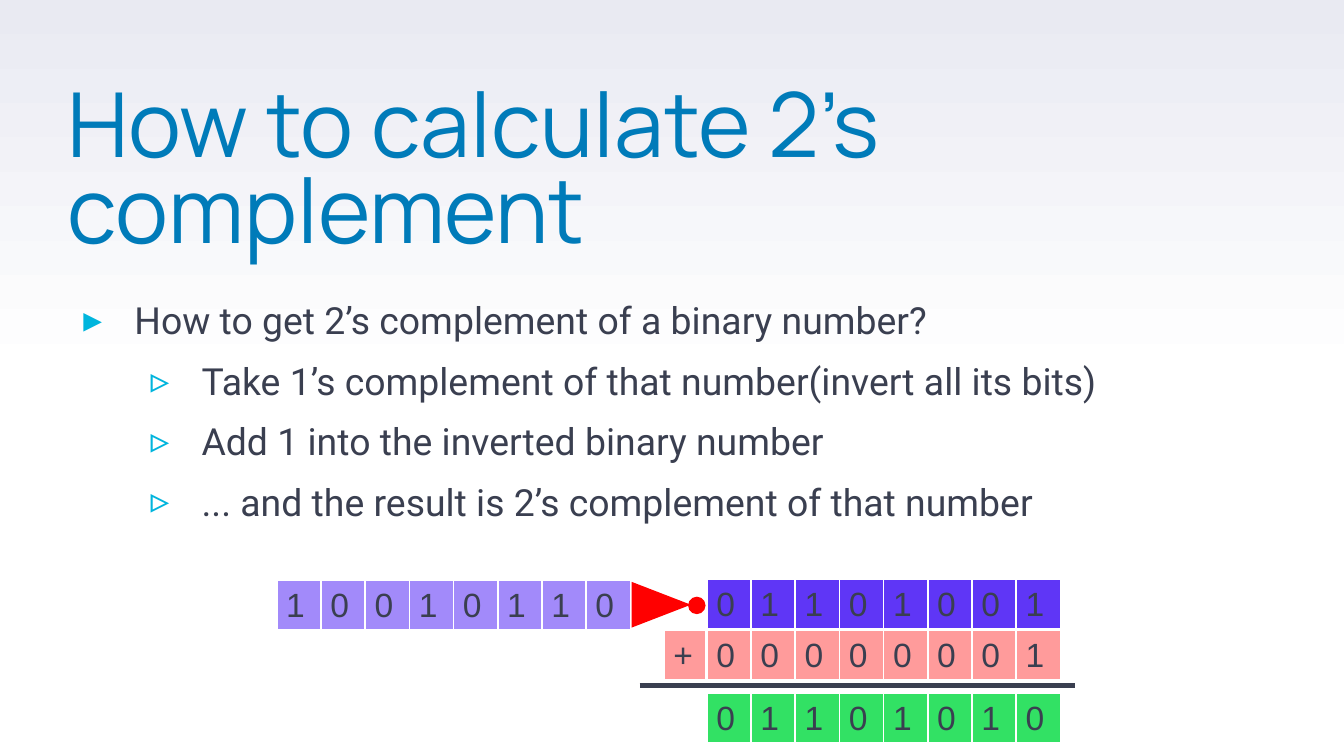
import copy
from dataclasses import dataclass

import pptx
import pptx.dml.color
import pptx.enum.shapes
import pptx.enum.text
import pptx.oxml
import pptx.oxml.ns
import pptx.util
from pptx.util import Inches

RGBColor = pptx.dml.color.RGBColor
Shape = pptx.enum.shapes.MSO_SHAPE

WHITE = RGBColor(0xFF, 0xFF, 0xFF)
MIST = RGBColor(0xE9, 0xEA, 0xF2)
BLUE = RGBColor(0x00, 0x7B, 0xB9)
CYAN = RGBColor(0x00, 0xB5, 0xDD)
INK = RGBColor(0x3A, 0x3F, 0x50)
LILAC = RGBColor(0xA2, 0x8A, 0xFA)
VIOLET = RGBColor(0x5F, 0x36, 0xF6)
PINK = RGBColor(0xFF, 0x9B, 0x9B)
GREEN = RGBColor(0x32, 0xE1, 0x64)
RED = RGBColor(0xFF, 0x00, 0x00)

SLIDE_W = 10
SLIDE_H = SLIDE_W * 9 / 16
BIT_W = 2.63 / 8
ROW_H = 0.38
SUM_X = 5.26
BORDERS = {"a:lnL": 1, "a:lnR": 1, "a:lnT": 1, "a:lnB": 3}
FRAME = {"margin_left": 0, "margin_top": 0, "margin_right": 0, "margin_bottom": 0,
         "word_wrap": True, "vertical_anchor": pptx.enum.text.MSO_ANCHOR.TOP,
         "auto_size": pptx.enum.text.MSO_AUTO_SIZE.NONE}
CELL = {"margin_left": Inches(0.07), "margin_right": Inches(0.07),
        "margin_top": Inches(0.04), "margin_bottom": Inches(0.04),
        "vertical_anchor": pptx.enum.text.MSO_ANCHOR.MIDDLE}


@dataclass
class Bullet:
    text: str
    level: int = 1
    mark: str = "▹"


@dataclass
class BitRow:
    bits: str
    x: float
    y: float
    color: RGBColor
    cell_w: float = BIT_W


@dataclass
class Marker:
    kind: Shape
    x: float
    y: float
    w: float
    h: float
    rotation: float = 0


BULLETS = [
    Bullet("How to get 2’s complement of a binary number?", 0, "▸"),
    Bullet("Take 1’s complement of that number(invert all its bits)"),
    Bullet("Add 1 into the inverted binary number"),
    Bullet("... and the result is 2’s complement of that number"),
]
BIT_ROWS = [
    BitRow("10010110", 2.06, 4.32, LILAC),
    BitRow("01101001", SUM_X, 4.31, VIOLET),
    BitRow("+", 4.94, 4.69, PINK, 0.31),
    BitRow("01101010", SUM_X, 5.16, GREEN),
    BitRow("00000001", SUM_X, 4.69, PINK),
]
MARKERS = [
    Marker(Shape.ISOSCELES_TRIANGLE, 4.75, 4.28, 0.34, 0.44, 90),
    Marker(Shape.OVAL, 5.12, 4.44, 0.13, 0.13),
]


def apply(target, values: dict) -> None:
    for name, value in values.items():
        setattr(target, name, value)


def add_run(p, text: str, font: str, size: float, color: RGBColor) -> None:
    r = p.add_run()
    r.text = text
    apply(r.font, {"name": font, "size": pptx.util.Pt(size)})
    r.font.color.rgb = color


def xml(body: str):
    tag, rest = body.split(" ", 1)
    return pptx.oxml.parse_xml(f"<{tag} {pptx.oxml.ns.nsdecls('a')} {rest}")


def set_background(s) -> None:
    fill = s.background.fill
    fill.gradient()
    fill.gradient_angle = 90
    first = s.element.xpath(".//p:bg//a:gs")[0]
    first.addnext(copy.deepcopy(first))
    stops = [(0, WHITE), (0.5, WHITE), (1, MIST)]
    for stop, (position, color) in zip(fill.gradient_stops, stops):
        stop.position = position
        stop.color.rgb = color


def set_title(s, text: str) -> None:
    sp = s.shapes.title
    apply(sp, {"left": Inches(0.5), "top": Inches(0.66),
               "width": Inches(9.32), "height": Inches(1.18)})
    apply(sp.text_frame, FRAME)
    p = sp.text_frame.paragraphs[0]
    apply(p, {"line_spacing": 0.8, "alignment": pptx.enum.text.PP_ALIGN.LEFT})
    add_run(p, text, "Manrope", 48, BLUE)


def add_bullets(s, bullets: list[Bullet]) -> None:
    sp = s.shapes.add_textbox(Inches(0.5), Inches(2.18), Inches(9.32), Inches(2.93))
    tf = sp.text_frame
    apply(tf, FRAME)
    for i, bullet in enumerate(bullets):
        p = tf.add_paragraph() if i else tf.paragraphs[0]
        apply(p, {"level": bullet.level, "line_spacing": 1.1,
                  "space_before": pptx.util.Pt(6)})
        pPr = p._p.get_or_add_pPr()
        pPr.set("marL", str(Inches(0.5 * (bullet.level + 1))))
        pPr.set("indent", str(Inches(-0.38)))
        pPr.append(xml(f'a:buClr ><a:srgbClr val="{CYAN}"/></a:buClr>'))
        pPr.append(xml('a:buFont typeface="Roboto"/>'))
        pPr.append(xml(f'a:buChar char="{bullet.mark}"/>'))
        add_run(p, bullet.text, "Roboto", 20, INK)


def add_bit_row(s, row: BitRow) -> None:
    n = len(row.bits)
    table = s.shapes.add_table(1, n, Inches(row.x), Inches(row.y),
                               Inches(row.cell_w * n), Inches(ROW_H)).table
    apply(table, {"first_row": False, "horz_banding": False})
    for column, cell, bit in zip(table.columns, table.rows[0].cells, row.bits):
        column.width = Inches(row.cell_w)
        apply(cell, CELL)
        add_run(cell.text_frame.paragraphs[0], bit, "Arial", 18, INK)
        tcPr = cell._tc.get_or_add_tcPr()
        for tag, width in BORDERS.items():
            tcPr.append(xml(f'{tag} w="{pptx.util.Pt(width)}"><a:solidFill>'
                            f'<a:srgbClr val="{WHITE}"/></a:solidFill></{tag}>'))
        cell.fill.solid()
        cell.fill.fore_color.rgb = row.color


def add_sum_line(s) -> None:
    line = s.shapes.add_connector(pptx.enum.shapes.MSO_CONNECTOR.STRAIGHT,
                                  Inches(4.76), Inches(5.1), Inches(8), Inches(5.1))
    line.line.color.rgb = INK
    line.line.width = pptx.util.Pt(3)
    line._element.spPr.append(xml("a:effectLst />"))


def add_marker(s, marker: Marker):
    sp = s.shapes.add_shape(marker.kind, Inches(marker.x), Inches(marker.y),
                            Inches(marker.w), Inches(marker.h))
    sp.rotation = marker.rotation
    sp.shadow.inherit = False
    sp.fill.solid()
    sp.fill.fore_color.rgb = RED
    sp.line.fill.background()
    return sp


def main() -> None:
    prs = pptx.Presentation()
    apply(prs, {"slide_width": Inches(SLIDE_W), "slide_height": Inches(SLIDE_H)})
    s = prs.slides.add_slide(prs.slide_layouts[5])
    set_background(s)
    set_title(s, "How to calculate 2’s complement")
    add_bullets(s, BULLETS)
    for row in BIT_ROWS:
        add_bit_row(s, row)
    add_sum_line(s)
    s.shapes.add_group_shape([add_marker(s, marker) for marker in MARKERS])
    prs.save("out.pptx")


if __name__ == "__main__":
    main()
